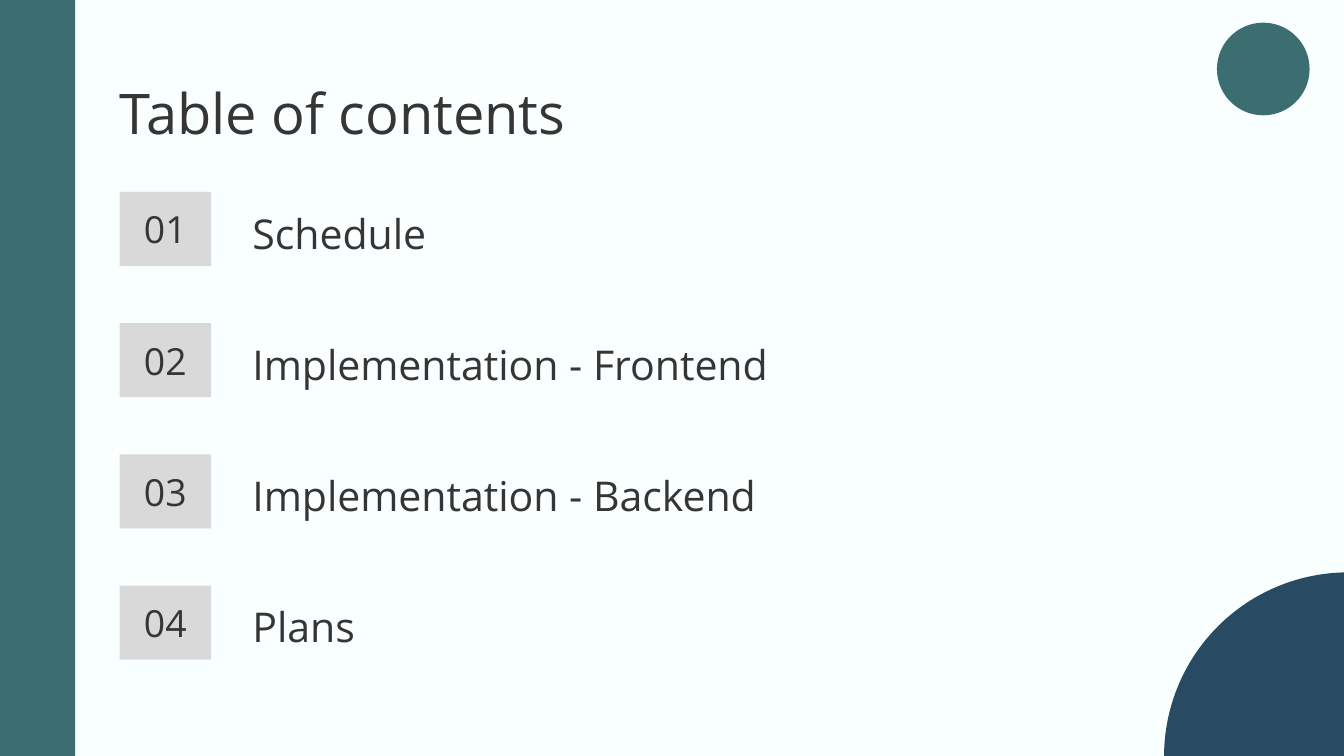
"""Build a table of contents slide with four numbered entries."""
from typing import NamedTuple

from lxml.etree import SubElement
from pptx import Presentation
from pptx.dml.color import RGBColor as RGB
from pptx.enum.shapes import MSO_SHAPE as Kind
from pptx.enum.text import MSO_ANCHOR as Anchor
from pptx.enum.text import MSO_AUTO_SIZE as Fit
from pptx.enum.text import PP_ALIGN as Align
from pptx.oxml.ns import qn
from pptx.shapes.base import BaseShape as Shape
from pptx.slide import Slide
from pptx.util import Cm, Pt

TEAL = RGB(0x3C, 0x6E, 0x71)
NAVY = RGB(0x28, 0x4B, 0x63)
GREY = RGB(0xD9, 0xD9, 0xD9)
INK = RGB(0x35, 0x35, 0x35)
PAPER = RGB(0xF8, 0xFF, 0xFE)
WIDE, HIGH = 25.4, 14.29
STEP = 2.48
ITEMS = ("Schedule", "Implementation - Frontend", "Implementation - Backend", "Plans")


class Box(NamedTuple):
    left: float
    top: float
    width: float
    height: float

    def down(self, row: int) -> "Box":
        return self._replace(top=self.top + row * STEP)


class Look(NamedTuple):
    size: int
    align: Align = Align.LEFT
    anchor: Anchor = Anchor.MIDDLE
    space: float = 1.0


HEAD = Look(30, anchor=Anchor.TOP)
MARK = Look(20, align=Align.CENTER)
ITEM = Look(22, space=1.15)
TILE = Box(2.26, 3.63, 1.73, 1.4)
LINE = Box(4.52, 3.81, 15.47, 1.04)


def apply(target: object, values: dict) -> None:
    for name, value in values.items():
        setattr(target, name, value)


def place(shape: Shape, box: Box) -> None:
    apply(shape, {name: Cm(value) for name, value in box._asdict().items()})


def draw(slide: Slide, kind: Kind, box: Box, fill: RGB) -> Shape:
    shape = slide.shapes.add_shape(kind, *map(Cm, box))
    shape.shadow.inherit = False
    shape.fill.solid()
    shape.fill.fore_color.rgb = fill
    shape.line.fill.background()
    return shape


def write(shape: Shape, text: str, look: Look) -> None:
    frame = shape.text_frame
    frame.text = text
    sides = ("left", "top", "right", "bottom")
    apply(frame, {f"margin_{side}": Cm(0.25) for side in sides})
    apply(frame, {"word_wrap": True, "auto_size": Fit.NONE,
                  "vertical_anchor": look.anchor})
    para = frame.paragraphs[0]
    apply(para, {"alignment": look.align, "line_spacing": look.space,
                 "space_before": Pt(0)})
    props = para._p.get_or_add_pPr()
    apply_xml = {"marL": "0", "indent": "0"}
    for name, value in apply_xml.items():
        props.set(name, value)
    SubElement(props, qn("a:buNone"))
    font = para.runs[0].font
    apply(font, {"name": "Open Sans", "size": Pt(look.size), "bold": False})
    font.color.rgb = INK


def main() -> None:
    deck = Presentation()
    apply(deck, {"slide_width": Cm(WIDE), "slide_height": Cm(HIGH)})
    slide = deck.slides.add_slide(deck.slide_layouts.get_by_name("Comparison"))
    back = slide.background.fill
    back.solid()
    back.fore_color.rgb = PAPER

    draw(slide, Kind.RECTANGLE, Box(0, 0, 1.42, HIGH), TEAL)
    pie = draw(slide, Kind.PIE, Box(22, 10.82, 6.96, 6.96), NAVY)
    pie.adjustments[0], pie.adjustments[1] = 108, 162
    draw(slide, Kind.OVAL, Box(23, 0.43, 1.75, 1.75), TEAL)

    head, *lines = slide.placeholders
    place(head, Box(2.01, 1.24, 21.41, 1.6))
    write(head, "Table of contents", HEAD)
    for row, (line, text) in enumerate(zip(lines, ITEMS)):
        tile = draw(slide, Kind.RECTANGLE, TILE.down(row), GREY)
        write(tile, f"{row + 1:02}", MARK)
        place(line, LINE.down(row))
        write(line, text, ITEM)
    deck.save("out.pptx")


if __name__ == "__main__":
    main()
